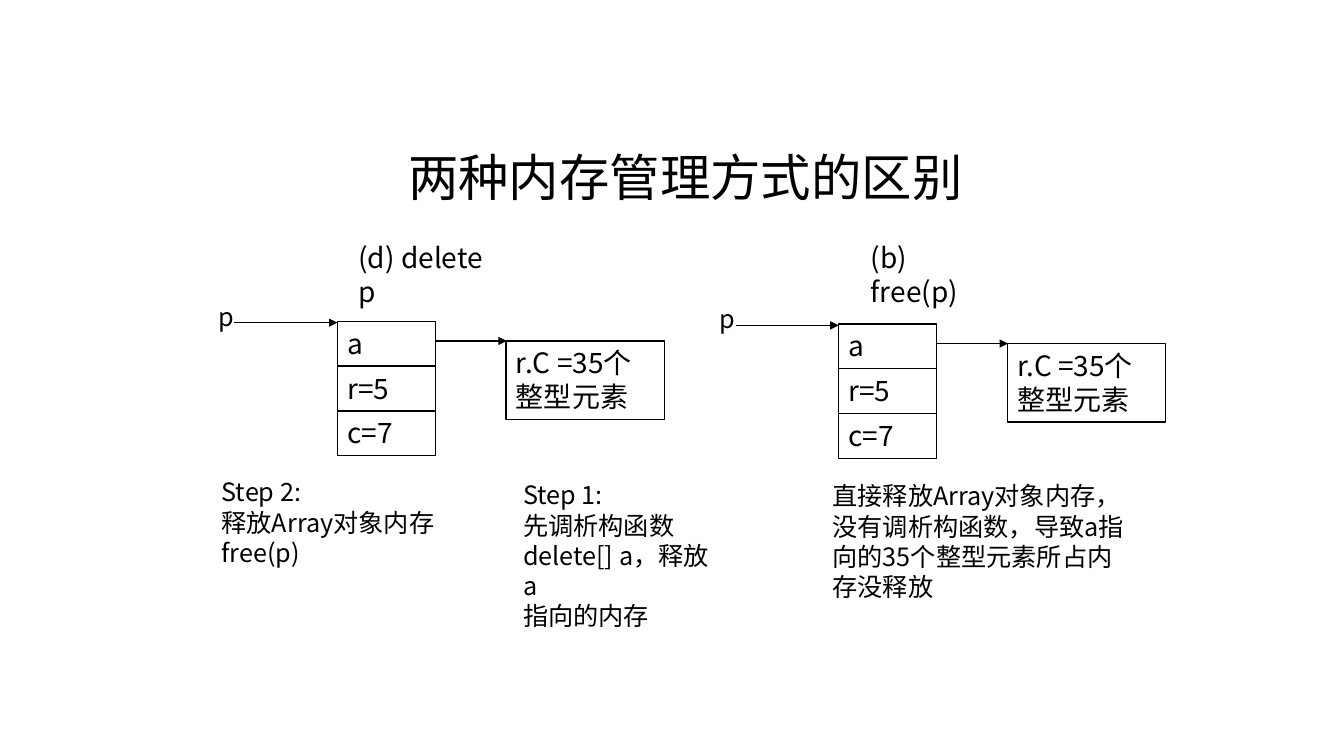
from dataclasses import dataclass

from lxml.etree import SubElement as Sub
from pptx import Presentation
from pptx.dml.color import RGBColor as Rgb
from pptx.enum.shapes import MSO_CONNECTOR as Conn, MSO_SHAPE as Kind
from pptx.enum.text import MSO_ANCHOR as Anchor, PP_ALIGN as Align
from pptx.oxml.ns import qn
from pptx.util import Pt

FONT = "Noto Sans CJK JP"
HUES = {"ink": "000000", "page": "FFFFFF"}
INK = Rgb.from_string(HUES["ink"])
FIELDS = ("a", "r=5", "c=7")
ROW, WIDE = 32, 70


@dataclass
class Label:
    x: float
    y: float
    w: float
    h: float
    text: str
    size: int = 18


@dataclass
class Layout:
    """Top left corner of the field stack in one memory diagram."""
    x: float
    y: float


TITLE = Label(183.6, 88.6, 612, 74.9, "两种内存管理方式的区别", 36)
LAYOUTS = (Layout(241, 229.5), Layout(599, 231.4))
LABELS = (
    Label(249, 168.5, 115, 32, "(d) delete p", 20),
    Label(615, 168.5, 100, 32, "(b) free(p)", 20),
    Label(151.2, 337, 199, 72, "Step 2:\n释放Array对象内存\nfree(p)"),
    Label(366.5, 339.1, 147.6, 116.6,
          "Step 1:\n先调析构函数\ndelete[] a，释放a\n指向的内存"),
    Label(587.5, 339.8, 226.8, 93.6,
          "直接释放Array对象内存，没有调析构函数，导致a指向的35个整型元素所占内存没释放"),
)


def write(shape, label: Label, align=Align.LEFT, anchor=Anchor.TOP) -> None:
    frame = shape.text_frame
    frame.word_wrap = True
    frame.vertical_anchor = anchor
    frame.text = label.text
    for para in frame.paragraphs:
        para.alignment = align
        font = para.font
        font.size = Pt(label.size)
        font.color.rgb = INK
        font.name = FONT
        props = para._p.pPr.find(qn("a:defRPr"))
        Sub(props, qn("a:ea")).set("typeface", FONT)


def place(label: Label) -> tuple:
    return Pt(label.x), Pt(label.y), Pt(label.w), Pt(label.h)


def add_label(slide, label: Label, **style) -> None:
    write(slide.shapes.add_textbox(*place(label)), label, **style)


def add_box(slide, label: Label) -> None:
    box = slide.shapes.add_shape(Kind.RECTANGLE, *place(label))
    box.shadow.inherit = False
    box.fill.background()
    box.line.color.rgb = INK
    box.line.width = Pt(1)
    write(box, label)


def add_arrow(slide, x: float, y: float, end: float) -> None:
    line = slide.shapes.add_connector(
        Conn.STRAIGHT, Pt(x), Pt(y), Pt(end), Pt(y))
    line.line.color.rgb = INK
    line.line.width = Pt(1)
    Sub(line.line._get_or_add_ln(), qn("a:tailEnd")).set("type", "triangle")
    Sub(line._element.spPr, qn("a:effectLst"))


def draw_memory(slide, spot: Layout) -> None:
    """Draw pointer p, the object's fields and the array they point to."""
    x, y = spot.x, spot.y
    for row, field in enumerate(FIELDS):
        add_box(slide, Label(x, y + row * ROW, WIDE, ROW, field, 20))
    add_box(slide, Label(x + 120.5, y + 14, 113, 56, "r.C =35个\n整型元素", 20))
    add_label(slide, Label(x - 92, y - 18, 25, 29, "p"))
    add_arrow(slide, x - 73.5, y + 1, x)
    add_arrow(slide, x + WIDE, y + 14, x + 121)


def main() -> None:
    deck = Presentation()
    deck.slide_width, deck.slide_height = Pt(960), Pt(540)
    slide = deck.slides.add_slide(deck.slide_layouts[6])
    back = slide.background.fill
    back.solid()
    back.fore_color.rgb = Rgb.from_string(HUES["page"])
    add_label(slide, TITLE, align=Align.CENTER, anchor=Anchor.MIDDLE)
    for spot in LAYOUTS:
        draw_memory(slide, spot)
    for label in LABELS:
        add_label(slide, label)
    deck.save("out.pptx")


if __name__ == "__main__":
    main()
